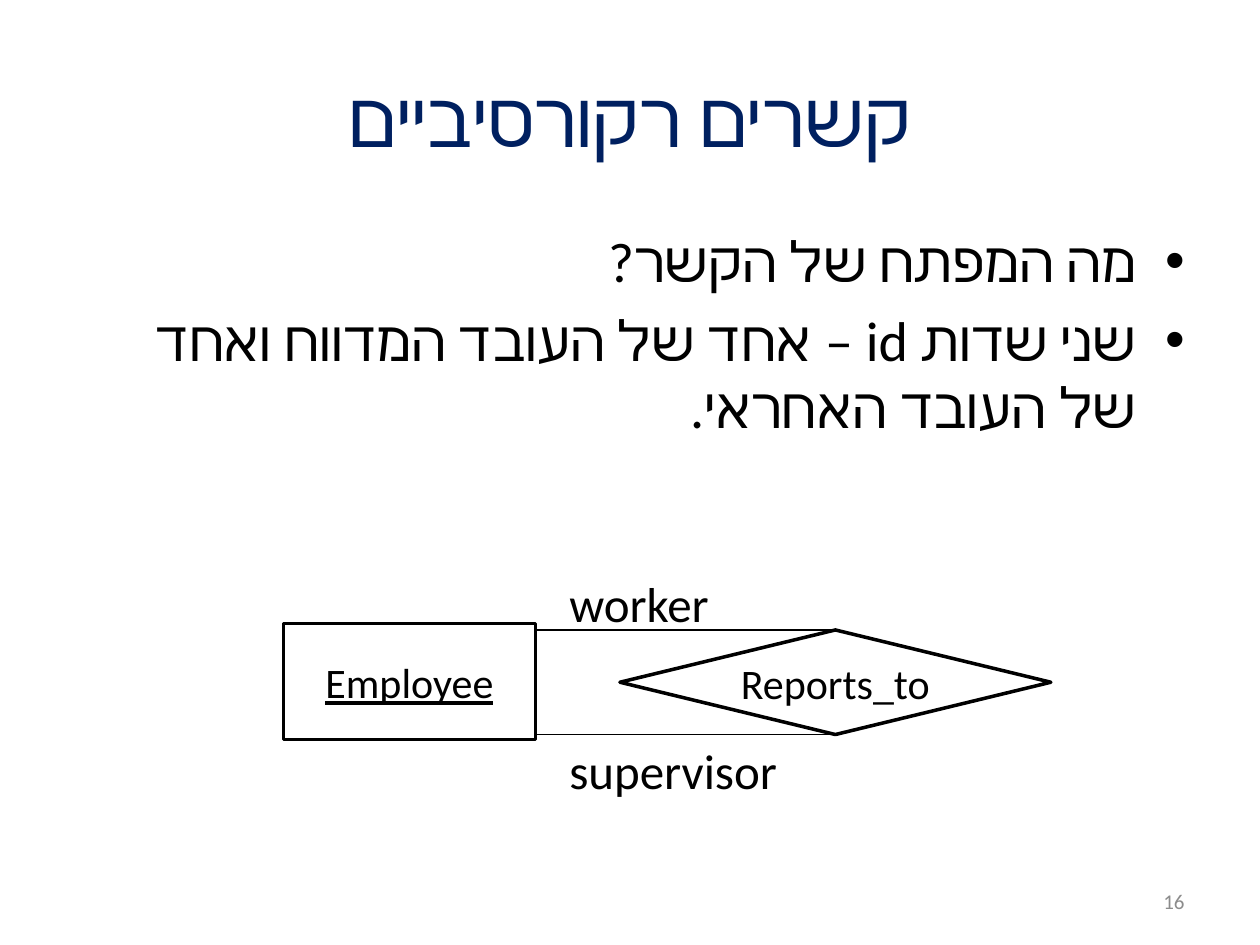
"""Build a slide on recursive relationships in an entity diagram."""
from pptx import Presentation
from pptx.dml.color import RGBColor
from pptx.enum.shapes import MSO_CONNECTOR, MSO_SHAPE
from pptx.enum.text import MSO_ANCHOR, PP_ALIGN
from pptx.oxml.ns import qn
from pptx.util import Inches, Pt

TOP, MID = MSO_ANCHOR.TOP, MSO_ANCHOR.MIDDLE
LEFT, CENTER, RIGHT = PP_ALIGN.LEFT, PP_ALIGN.CENTER, PP_ALIGN.RIGHT
RECT, DIAMOND = MSO_SHAPE.RECTANGLE, MSO_SHAPE.FLOWCHART_DECISION
WIDE, HIGH, EDGE = 10, 7.5, 0.5
FULL = WIDE - 2 * EDGE
FONT, BLACK = "Calibri", "000000"
RISE, DROP = 5, 5.83
BOX = (2.25, 4.95, 2, 0.92)
GEM = (4.92, RISE, 3.42, DROP - RISE)

TEXTS = [
    (["קשרים רקורסיביים"], (EDGE, 0.3, FULL, 1.25), 44, "002060", CENTER, MID, False),
    (["מה המפתח של הקשר?",
      "שני שדות id – אחד של העובד המדווח ואחד של העובד האחראי."],
     (EDGE, 1.75, FULL, 4.95), 32, BLACK, RIGHT, TOP, True),
    (["16"], (7.17, 6.95, 2.33, 0.4), 12, "8C8C8C", RIGHT, MID, False),
    (["worker"], (4.42, 4.5, 1.92, 0.57), 28, BLACK, LEFT, TOP, False),
    (["supervisor"], (4.42, DROP, 1.92, 0.57), 28, BLACK, LEFT, TOP, False),
]
NODES = [("Employee", RECT, BOX, True), ("Reports_to", DIAMOND, GEM, False)]


def tint(code):
    return RGBColor.from_string(code)


def place(box):
    return [Inches(n) for n in box]


def assign(item, values):
    for key, value in values.items():
        setattr(item, key, value)


def bullet(para):
    props = para._p.get_or_add_pPr()
    hang = Inches(0.38)
    for key, value in {"marL": hang, "indent": -hang, "rtl": 1}.items():
        props.set(key, str(int(value)))
    mark = props.makeelement(qn("a:buFont"), {"typeface": "Arial"})
    props.append(mark)
    props.append(props.makeelement(qn("a:buChar"), {"char": "•"}))


def write(shape, lines, size, color, align, anchor, listed=False, under=None):
    frame = shape.text_frame
    assign(frame, {"word_wrap": True, "vertical_anchor": anchor})
    for i, line in enumerate(lines):
        para = frame.add_paragraph() if i else frame.paragraphs[0]
        para.alignment = align
        if listed:
            para.space_before = Pt(size * 0.2)
            bullet(para)
        run = para.add_run()
        run.text = line
        assign(run.font, {"size": Pt(size), "name": FONT, "underline": under})
        run.font.color.rgb = tint(color)
        props = run._r.get_or_add_rPr()
        props.append(props.makeelement(qn("a:cs"), {"typeface": FONT}))


def ink(line, width):
    line.color.rgb = tint(BLACK)
    line.width = Pt(width)


deck = Presentation()
assign(deck, {"slide_width": Inches(WIDE), "slide_height": Inches(HIGH)})
shapes = deck.slides.add_slide(deck.slide_layouts[6]).shapes

for lines, box, *style in TEXTS:
    write(shapes.add_textbox(*place(box)), lines, *style)

for name, kind, box, under in NODES:
    node = shapes.add_shape(kind, *place(box))
    node.shadow.inherit = False
    node.fill.background()
    ink(node.line, 2)
    write(node, [name], 24, BLACK, CENTER, MID, under=under)

for y in (RISE, DROP):
    ends = (GEM[0] + GEM[2] / 2, y, BOX[0] + BOX[2], y)
    link = shapes.add_connector(MSO_CONNECTOR.STRAIGHT, *place(ends))
    ink(link.line, 0.75)
    props = link._element.spPr
    props.append(props.makeelement(qn("a:effectLst"), {}))

deck.save("out.pptx")
